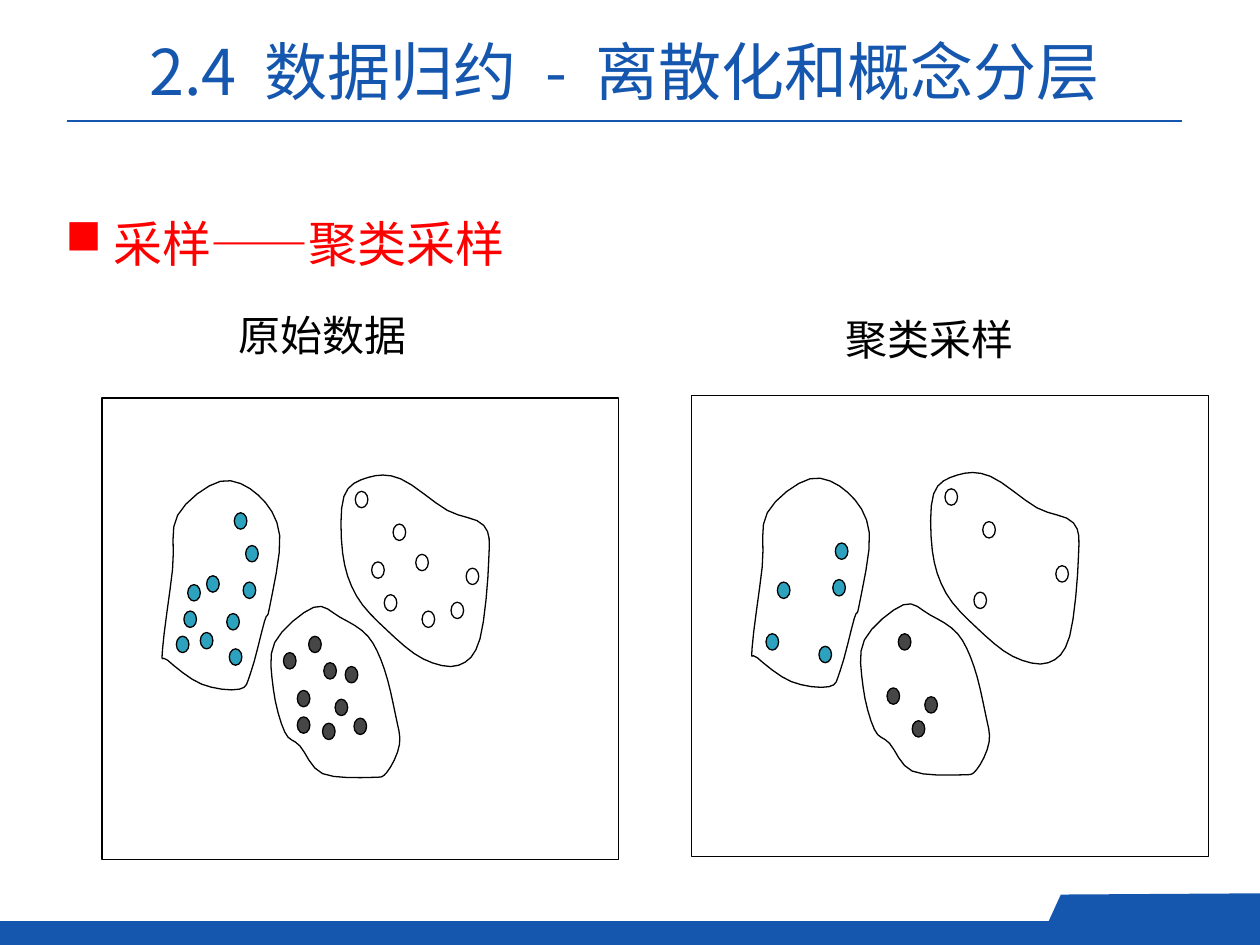
from dataclasses import dataclass

import pptx
import pptx.util
import pptx.dml.color
import pptx.enum.shapes
import pptx.enum.text
import pptx.oxml
import pptx.oxml.ns
from pptx.util import Inches

COLORS = {"blue": "1557AE", "red": "FF0000", "black": "000000",
          "white": "FFFFFF", "gray": "464646", "teal": "2DA2BF"}
FONT = "Noto Sans CJK SC"
SHAPES = pptx.enum.shapes.MSO_SHAPE
CURVE_STEPS = 4
DOT_WIDTH, DOT_HEIGHT = 0.1, 0.13

Point = tuple[float, float]


@dataclass
class Cluster:
    color: str
    sampled: list[Point]
    unsampled: list[Point]
    border: list[Point]


@dataclass
class Panel:
    offset: Point
    sampled_only: bool
    label: str
    label_left: float
    label_top: float


CLUSTERS = [
    Cluster("white",
            [(3.12, 4.16), (3.05, 4.72), (3.7, 4.51), (2.82, 3.9)],
            [(3.3, 4.4), (2.95, 4.46), (3.58, 4.78), (3.35, 4.85)],
            [(3.84, 4.17), (3.88, 4.44), (3.81, 5.07), (3.64, 5.28), (3.36, 5.23),
             (3.07, 5), (2.83, 4.73), (2.72, 4.39), (2.73, 3.94), (2.92, 3.79),
             (3.18, 3.8), (3.55, 4.05)]),
    Cluster("gray",
            [(2.56, 5.74), (2.66, 5.55), (2.36, 5.48), (2.45, 5.05)],
            [(2.25, 5.18), (2.74, 5.29), (2.36, 5.69), (2.57, 5.26), (2.81, 5.7)],
            [(2.38, 5.92), (2.26, 5.81), (2.17, 5.47), (2.18, 5.1), (2.49, 4.82),
             (2.7, 4.9), (2.92, 5.05), (3.05, 5.31), (3.14, 5.68), (3.17, 5.91),
             (3.07, 6.13), (2.95, 6.17), (2.56, 6.14)]),
    Cluster("teal",
            [(1.4, 5.05), (1.49, 4.64), (1.82, 5.15), (1.93, 4.62), (1.95, 4.33)],
            [(1.59, 5.02), (1.46, 4.85), (1.8, 4.87), (1.64, 4.57), (1.86, 4.07)],
            [(2.1, 4.93), (1.99, 5.34), (1.9, 5.47), (1.6, 5.43), (1.33, 5.24),
             (1.29, 5.16), (1.37, 4.52), (1.41, 4.09), (1.75, 3.82), (2.05, 3.93),
             (2.22, 4.25), (2.14, 4.82)]),
]
PANELS = [Panel((0, 0), False, "原始数据", 1.78, 2.41),
          Panel((4.68, -0.02), True, "聚类采样", 6.6, 2.44)]


def rgb(color: str) -> pptx.dml.color.RGBColor:
    return pptx.dml.color.RGBColor.from_string(COLORS[color])


def style_shape(shape, fill: str | None, line: str | None) -> None:
    shape.shadow.inherit = False
    if fill:
        shape.fill.solid()
        shape.fill.fore_color.rgb = rgb(fill)
    else:
        shape.fill.background()
    if line:
        shape.line.color.rgb = rgb(line)
        shape.line.width = pptx.util.Pt(0.75)
    else:
        shape.line.fill.background()


def add_preset(slide, kind, left: float, top: float, width: float, height: float,
               fill: str | None, line: str | None) -> None:
    shape = slide.shapes.add_shape(kind, Inches(left), Inches(top), Inches(width), Inches(height))
    style_shape(shape, fill, line)


def add_outline(slide, points: list[Point], fill: str | None, line: str | None) -> None:
    corners = [(Inches(x), Inches(y)) for x, y in points]
    builder = slide.shapes.build_freeform(*corners[0])
    builder.add_line_segments(corners[1:], close=True)
    style_shape(builder.convert_to_shape(), fill, line)


def smooth_border(border: list[Point], offset: Point) -> list[Point]:
    points = []
    for index in range(len(border)):
        around = [border[(index + shift) % len(border)] for shift in (-1, 0, 1, 2)]
        for step in range(CURVE_STEPS):
            t = step / CURVE_STEPS
            weights = ((-t + 2 * t**2 - t**3) / 2, (2 - 5 * t**2 + 3 * t**3) / 2,
                       (t + 4 * t**2 - 3 * t**3) / 2, (t**3 - t**2) / 2)
            points.append(tuple(offset[axis] + sum(w * p[axis] for w, p in zip(weights, around))
                                for axis in (0, 1)))
    return points


def write_text(frame, text: str, size: int, color: str, centered: bool = True):
    para = frame.paragraphs[0]
    para.text = text
    if centered:
        para.alignment = pptx.enum.text.PP_ALIGN.CENTER
    for span in para.runs:
        span.font.size = pptx.util.Pt(size)
        span.font.name = FONT
        span.font.color.rgb = rgb(color)
        properties = span._r.get_or_add_rPr()
        properties.find(pptx.oxml.ns.qn("a:latin")).addnext(
            properties.makeelement(pptx.oxml.ns.qn("a:ea"), {"typeface": FONT}))
    return para


def add_text_box(slide, left: float, top: float, width: float, height: float):
    return slide.shapes.add_textbox(Inches(left), Inches(top), Inches(width), Inches(height)).text_frame


def add_frame_decoration(slide) -> None:
    rule = slide.shapes.add_connector(pptx.enum.shapes.MSO_CONNECTOR.STRAIGHT,
                                      Inches(0.53), Inches(0.96), Inches(9.38), Inches(0.96))
    rule.line.color.rgb = rgb("blue")
    rule.line.width = pptx.util.Pt(1.5)
    properties = rule._element.spPr
    properties.append(properties.makeelement(pptx.oxml.ns.qn("a:effectLst"), {}))
    add_preset(slide, SHAPES.FLOWCHART_PROCESS, 0, 7.31, 10, 0.19, "blue", None)
    add_outline(slide, [(10, 7.45), (10, 7.09), (8.42, 7.1), (8.26, 7.45)], "blue", None)


def add_title(slide) -> None:
    title = slide.shapes.title
    title.left, title.top, title.width, title.height = map(Inches, (0.58, 0.21, 8.75, 0.7))
    frame = title.text_frame
    frame.auto_size = pptx.enum.text.MSO_AUTO_SIZE.NONE
    frame.vertical_anchor = pptx.enum.text.MSO_ANCHOR.BOTTOM
    write_text(frame, "2.4  数据归约  -  离散化和概念分层", 36, "blue")


def add_bullet(slide) -> None:
    frame = add_text_box(slide, 0.42, 1.55, 9.3, 0.63)
    frame.word_wrap = True
    para = write_text(frame, "采样——聚类采样", 28, "red", centered=False)
    para.line_spacing = 1.2
    properties = para._p.get_or_add_pPr()
    properties.set("marL", str(Inches(0.38)))
    properties.set("indent", str(Inches(-0.38)))
    properties.append(properties.makeelement(pptx.oxml.ns.qn("a:buChar"), {"char": "■"}))


def add_panel(slide, panel: Panel) -> None:
    dx, dy = panel.offset
    add_preset(slide, SHAPES.RECTANGLE, 0.81 + dx, 3.16 + dy, 4.1, 3.66, None, "black")
    for cluster in CLUSTERS:
        dots = cluster.sampled + ([] if panel.sampled_only else cluster.unsampled)
        for x, y in dots:
            add_preset(slide, SHAPES.FLOWCHART_CONNECTOR, x + dx, y + dy,
                       DOT_WIDTH, DOT_HEIGHT, cluster.color, "black")
        add_outline(slide, smooth_border(cluster.border, panel.offset), None, "black")
    frame = add_text_box(slide, panel.label_left, panel.label_top, 1.56, 0.5)
    frame.word_wrap = False
    frame.auto_size = pptx.enum.text.MSO_AUTO_SIZE.SHAPE_TO_FIT_TEXT
    write_text(frame, panel.label, 24, "black")


def main() -> None:
    deck = pptx.Presentation()
    deck.slide_width, deck.slide_height = Inches(10), Inches(7.5)
    page = deck.slides.add_slide(deck.slide_layouts[5])
    add_frame_decoration(page)
    add_title(page)
    add_bullet(page)
    for panel in PANELS:
        add_panel(page, panel)
    deck.save("out.pptx")


if __name__ == "__main__":
    main()
